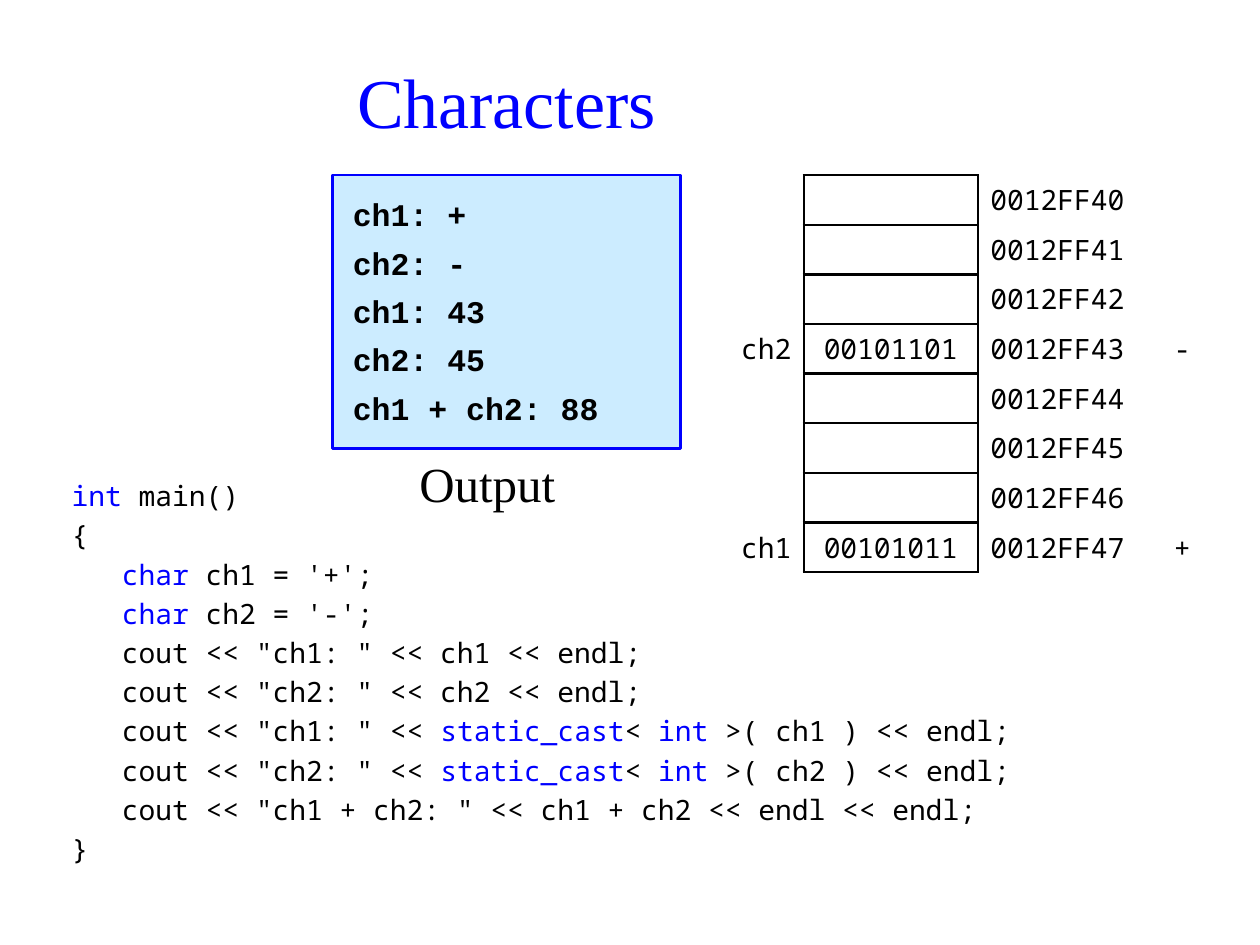
"""Build the slide on characters: code, its output and a memory map."""
from lxml.etree import SubElement as Sub
from pptx import Presentation
from pptx.dml.color import RGBColor as Rgb
from pptx.enum.shapes import MSO_SHAPE as Shape
from pptx.enum.text import MSO_ANCHOR as Anchor, PP_ALIGN as Align
from pptx.oxml.ns import qn
from pptx.util import Inches, Pt

HUES = {"key": "0000FF", "text": "000000", "box": "CCECFF", "cell": "FFFFFF"}
FONTS = {
    "title": {"name": "Times New Roman", "size": Pt(40)},
    "label": {"name": "Times New Roman", "size": Pt(28)},
    "code": {"name": "Noto Sans Mono", "size": Pt(16)},
    "out": {"name": "Courier New", "size": Pt(18), "bold": True},
}

CODE = [
    ("", "int", " main()"),
    ("{",),
    ("   ", "char ", "ch1 = '+';"),
    ("   ", "char ", "ch2 = '-';"),
    ('   cout << "ch1: " << ch1 << endl;',),
    ('   cout << "ch2: " << ch2 << endl;',),
    ('   cout << "ch1: " << ', "static_cast", "< ", "int", " >( ch1 ) << endl;"),
    ('   cout << "ch2: " << ', "static_cast", "< ", "int", " >( ch2 ) << endl;"),
    ('   cout << "ch1 + ch2: " << ch1 + ch2 << endl << endl;',),
    ("}",),
]
OUTPUT = ["ch1: +", "ch2: -", "ch1: 43", "ch2: 45", "ch1 + ch2: 88"]
START, COUNT = 0x0012FF40, 8
STORED = {3: ("ch2", "00101101", "-"), 7: ("ch1", "00101011", "+")}
WIDTHS = [0.79, 1.38, 1.38, 0.39]
ROW = 3.15 / COUNT
SIDES = ["L", "R", "T", "B"]
EDGES = ["R", "LRTB", "L", ""]
ALIGNS = [Align.RIGHT, Align.CENTER, Align.LEFT, Align.RIGHT]
PADS = [0.1, 0.1, 0.08, 0.08]


def style(item, values):
    for name, value in values.items():
        setattr(item, name, value)


def pad(left, top, right, low):
    names = ["margin_left", "margin_top", "margin_right", "margin_bottom"]
    return dict(zip(names, map(Inches, (left, top, right, low))))


def write(frame, lines, font, align=Align.LEFT, gap=0, hues=("text", "key")):
    for i, line in enumerate(lines):
        para = frame.paragraphs[0] if i == 0 else frame.add_paragraph()
        style(para, {"alignment": align, "space_before": Pt(gap if i else 0)})
        for j, text in enumerate(line):
            if text:
                run = para.add_run()
                run.text = text
                style(run.font, FONTS[font])
                run.font.color.rgb = Rgb.from_string(HUES[hues[j % 2]])


def add_text(slide, place, lines, font, anchor=Anchor.TOP, **form):
    frame = slide.shapes.add_textbox(*map(Inches, place)).text_frame
    style(frame, {"word_wrap": True, "vertical_anchor": anchor})
    write(frame, lines, font, **form)


def add_edges(cell, shown):
    props = cell._tc.get_or_add_tcPr()
    for i, side in enumerate(SIDES):
        line = props.makeelement(qn("a:ln" + side), {"w": str(Pt(1.5))})
        props.insert(i, line)
        if side in shown:
            fill = Sub(line, qn("a:solidFill"))
            Sub(fill, qn("a:srgbClr"), val=HUES["text"])
        else:
            Sub(line, qn("a:noFill"))


def add_map(slide):
    place = map(Inches, (5.59, 1.39, sum(WIDTHS), ROW * COUNT))
    table = slide.shapes.add_table(COUNT, len(WIDTHS), *place).table
    style(table, {"first_row": False, "horz_banding": False})
    for col, width in zip(table.columns, WIDTHS):
        col.width = Inches(width)
    for i, row in enumerate(table.rows):
        row.height = Inches(ROW)
        name, bits, sign = STORED.get(i, ("", "", ""))
        words = [name, bits, f"{START + i:08X}", sign]
        for j, (cell, word) in enumerate(zip(row.cells, words)):
            style(cell, pad(0.1, 0.04, PADS[j], 0.04))
            cell.vertical_anchor = Anchor.MIDDLE
            if j:
                cell.fill.solid()
                cell.fill.fore_color.rgb = Rgb.from_string(HUES["cell"])
            else:
                cell.fill.background()
            add_edges(cell, EDGES[j])
            write(cell.text_frame, [(word,)], "code", ALIGNS[j])
            if not word:
                style(cell.text_frame.paragraphs[0].font, FONTS["code"])


def add_output(slide):
    place = map(Inches, (2.64, 1.39, 2.76, 2.17))
    box = slide.shapes.add_shape(Shape.RECTANGLE, *place)
    box.shadow.inherit = False
    box.fill.solid()
    box.fill.fore_color.rgb = Rgb.from_string(HUES["box"])
    box.line.color.rgb = Rgb.from_string(HUES["key"])
    box.line.width = Pt(1.5)
    form = {"word_wrap": True, "vertical_anchor": Anchor.TOP}
    style(box.text_frame, form | pad(0.16, 0.16, 0.1, 0.05))
    write(box.text_frame, [(line,) for line in OUTPUT], "out", gap=6)


def main():
    deck = Presentation()
    style(deck, {"slide_width": Inches(10), "slide_height": Inches(7.5)})
    slide = deck.slides.add_slide(deck.slide_layouts[6])
    add_text(slide, (2.64, 0.4, 2.76, 0.79), [("Characters",)], "title",
             Anchor.MIDDLE, align=Align.CENTER, hues=("key", "key"))
    add_text(slide, (0.47, 3.75, 7.88, 3.35), CODE, "code", gap=3.2)
    add_map(slide)
    add_output(slide)
    add_text(slide, (3.23, 3.55, 1.57, 0.59), [("Output",)], "label")
    deck.save("out.pptx")


if __name__ == "__main__":
    main()
